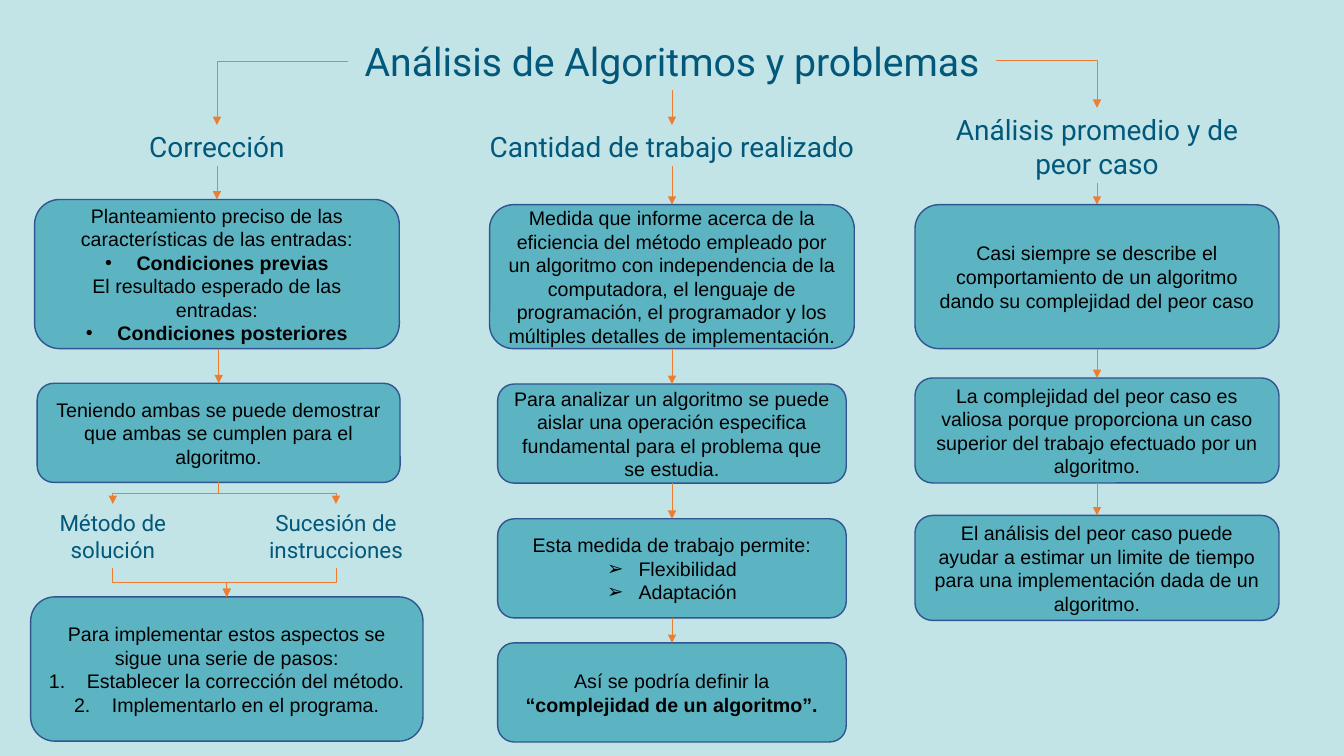
from dataclasses import dataclass
from itertools import pairwise
from typing import Any

from lxml import etree
from pptx import Presentation
from pptx import util as u
from pptx.dml.color import RGBColor
from pptx.enum import shapes, text
from pptx.oxml import ns


@dataclass(frozen=True)
class Theme:
    back: str = "C2E4E6"
    ink: str = "02587B"
    body: str = "000000"
    fill: str = "5CB4C2"
    edge: str = "325491"
    wire: str = "ED7D31"
    title: int = 28
    head: int = 20
    sub: int = 16
    note: int = 14
    face: str = "Roboto"
    plain: str = "Arial"


@dataclass(frozen=True)
class Par:
    text: str = ""
    strong: str = ""
    mark: str = ""


@dataclass(frozen=True)
class Box:
    mid: float
    top: float
    wide: float
    high: float
    pars: tuple[Par, ...]

    @property
    def base(self) -> float:
        return self.top + self.high


@dataclass(frozen=True)
class Label:
    mid: float
    top: float
    wide: float
    high: float
    text: str
    size: int


T = Theme()
LEFT, MID, RIGHT = 155, 480, 783.6
NUM, DOT, TIP = "1.", "•", "➢"

TITLE = Label(MID, 23, 463.7, 41, "Análisis de Algoritmos y problemas", T.title)
HEADS = [
    Label(LEFT, 89.3, 113, 31.5, "Corrección", T.head),
    Label(MID, 89.3, 280, 31.5, "Cantidad de trabajo realizado", T.head),
    Label(RIGHT, 77, 219.6, 55.7, "Análisis promedio y de peor caso", T.head),
]
SUBS = [
    Label(80.6, 360, 129.6, 46, "Método de solución", T.sub),
    Label(240, 360, 151.2, 46, "Sucesión de instrucciones", T.sub),
]
STACKS = [
    [
        Box(LEFT, 142.5, 260.5, 106.5, (
            Par("Planteamiento preciso de las características de las entradas:"),
            Par(strong="Condiciones previas", mark=DOT),
            Par("El resultado esperado de las entradas:"),
            Par(strong="Condiciones posteriores", mark=DOT))),
        Box(156.2, 273.8, 259.2, 70.8, (
            Par("Teniendo ambas se puede demostrar que ambas se cumplen para el algoritmo."),)),
    ],
    [
        Box(MID, 146.2, 260.5, 102.8, (
            Par("Medida que informe acerca de la eficiencia del método empleado por un "
                "algoritmo con independencia de la computadora, el lenguaje de programación, "
                "el programador y los múltiples detalles de implementación."),)),
        Box(MID, 274.3, 249, 70.8, (
            Par("Para analizar un algoritmo se puede aislar una operación especifica "
                "fundamental para el problema que se estudia."),)),
        Box(MID, 370.6, 249, 70.8, (
            Par("Esta medida de trabajo permite:"),
            Par("Flexibilidad", mark=TIP),
            Par("Adaptación", mark=TIP))),
        Box(MID, 459.2, 249, 70.8, (
            Par("Así se podría definir la ", "“complejidad de un algoritmo”."),)),
    ],
    [
        Box(RIGHT, 146.2, 260, 102.8, (
            Par("Casi siempre se describe el comportamiento de un algoritmo dando su "
                "complejidad del peor caso"),)),
        Box(RIGHT, 270, 260, 75, (
            Par("La complejidad del peor caso es valiosa porque proporciona un caso "
                "superior del trabajo efectuado por un algoritmo."),)),
        Box(RIGHT, 368.2, 260, 75, (
            Par("El análisis del peor caso puede ayudar a estimar un limite de tiempo "
                "para una implementación dada de un algoritmo."),)),
    ],
]
STEPS = Box(162, 426.4, 280.2, 103, (
    Par("Para implementar estos aspectos se sigue una serie de pasos:"),
    Par("Establecer la corrección del método.", mark=NUM),
    Par("Implementarlo en el programa.", mark=NUM)))


def rgb(code: str) -> RGBColor:
    return RGBColor.from_string(code)


def put(item: Any, vals: dict[str, Any]) -> None:
    for key, val in vals.items():
        setattr(item, key, val)


def place(item: Box | Label) -> list[int]:
    return [u.Pt(n) for n in (item.mid - item.wide / 2, item.top, item.wide, item.high)]


def child(node: Any, tag: str, **vals: str) -> None:
    etree.SubElement(node, ns.qn(tag), vals)


def write(par: Any, words: str, face: str, size: int, tint: str, bold: bool = False) -> None:
    par.alignment = text.PP_ALIGN.CENTER
    run = par.add_run()
    put(run, {"text": words})
    put(run.font, {"name": face, "size": u.Pt(size), "bold": bold})
    run.font.color.rgb = rgb(tint)


def bullet(par: Any, mark: str) -> None:
    props = par._p.get_or_add_pPr()
    step = u.Pt(27 if mark == NUM else 22.5)
    props.set("marL", str(step))
    props.set("indent", str(-step))
    child(props, "a:buFont", typeface=T.plain)
    if mark == NUM:
        child(props, "a:buAutoNum", type="arabicPeriod")
    else:
        child(props, "a:buChar", char=mark)


def label(shape: Any, item: Label) -> None:
    put(shape, dict(zip(("left", "top", "width", "height"), place(item))))
    frame = shape.text_frame
    put(frame, {"word_wrap": True, "auto_size": text.MSO_AUTO_SIZE.NONE,
                "vertical_anchor": text.MSO_ANCHOR.TOP})
    write(frame.paragraphs[0], item.text, T.face, item.size, T.ink)


def block(slide: Any, box: Box) -> None:
    shape = slide.shapes.add_shape(shapes.MSO_SHAPE.ROUNDED_RECTANGLE, *place(box))
    shape.shadow.inherit = False
    shape.fill.solid()
    shape.fill.fore_color.rgb = rgb(T.fill)
    shape.line.color.rgb = rgb(T.edge)
    shape.line.width = u.Pt(1)
    frame = shape.text_frame
    put(frame, {"word_wrap": True, "vertical_anchor": text.MSO_ANCHOR.MIDDLE})
    for rank, item in enumerate(box.pars):
        par = frame.add_paragraph() if rank else frame.paragraphs[0]
        for words, bold in ((item.text, False), (item.strong, True)):
            if words:
                write(par, words, T.plain, T.note, T.body, bold)
        if item.mark:
            bullet(par, item.mark)


def arrow(slide: Any, x: float, y: float, to_x: float, to_y: float,
          kind: Any = shapes.MSO_CONNECTOR.STRAIGHT) -> Any:
    wire = slide.shapes.add_connector(kind, *(u.Pt(n) for n in (x, y, to_x, to_y)))
    wire.line.color.rgb = rgb(T.wire)
    wire.line.width = u.Pt(0.5)
    props = wire.element.spPr
    child(props.find(ns.qn("a:ln")), "a:tailEnd", type="triangle")
    child(props, "a:effectLst")
    return wire


def corner(slide: Any, x: float, y: float, to_x: float, to_y: float) -> None:
    wire = arrow(slide, x, y, to_x, to_y, shapes.MSO_CONNECTOR.ELBOW)
    wire.element.spPr.find(ns.qn("a:prstGeom")).set("prst", "bentConnector2")


def fork(slide: Any, x: float, y: float, to_x: float, to_y: float) -> None:
    mid_x, mid_y = (x + to_x) / 2, (y + to_y) / 2
    half_x, half_y = (to_x - x) / 2, (to_y - y) / 2
    wire = arrow(slide, mid_x - half_y, mid_y + half_x, mid_x + half_y, mid_y - half_x,
                 shapes.MSO_CONNECTOR.ELBOW)
    wire.element.spPr.find(ns.qn("a:xfrm")).set("rot", "5400000")


def main() -> None:
    deck = Presentation()
    put(deck, {"slide_width": u.Pt(960), "slide_height": u.Pt(540)})
    slide = deck.slides.add_slide(deck.slide_layouts[5])
    slide.background.fill.solid()
    slide.background.fill.fore_color.rgb = rgb(T.back)

    label(slide.shapes.title, TITLE)
    for item in HEADS + SUBS:
        label(slide.shapes.add_textbox(*place(item)), item)

    corner(slide, 248.5, 43.5, LEFT, 89.3)
    arrow(slide, MID, 64, MID, 89.3)
    corner(slide, 711.5, 43, RIGHT, 77)

    for head, stack in zip(HEADS, STACKS):
        arrow(slide, head.mid, head.top + head.high - 2, head.mid, stack[0].top)
        for box in stack:
            block(slide, box)
        for box, below in pairwise(stack):
            arrow(slide, below.mid, box.base, below.mid, below.top)

    proof = STACKS[0][-1]
    block(slide, STEPS)
    for sub in SUBS:
        fork(slide, proof.mid, proof.base, sub.mid, sub.top)
        fork(slide, sub.mid, sub.top + sub.high, STEPS.mid, STEPS.top)
    deck.save("out.pptx")


if __name__ == "__main__":
    main()
